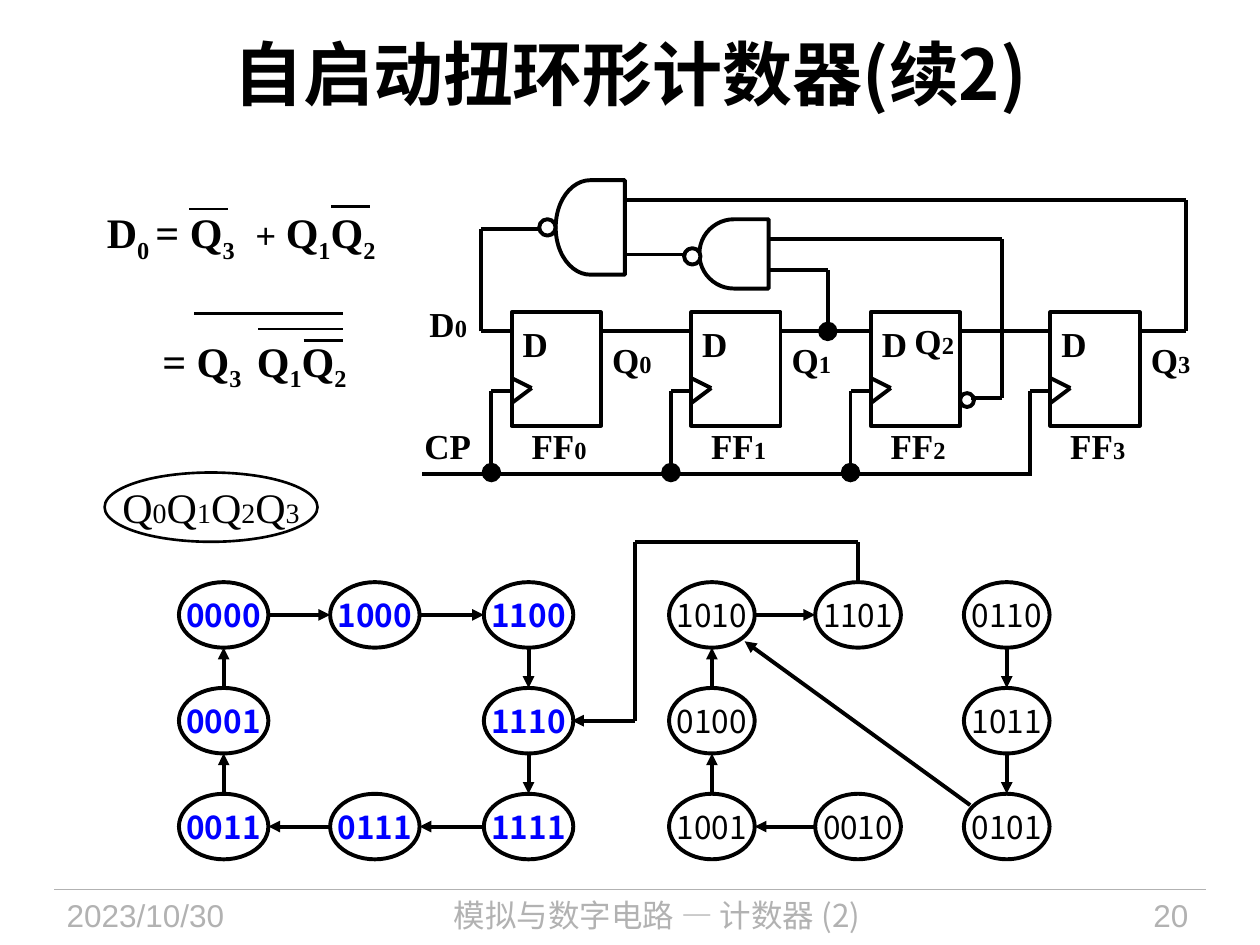
from lxml.etree import SubElement
from pptx import Presentation
from pptx.dml.color import RGBColor
from pptx.enum.shapes import MSO_CONNECTOR as Connector, MSO_SHAPE as Shape
from pptx.enum.text import MSO_ANCHOR as Anchor, MSO_AUTO_SIZE as AutoSize, PP_ALIGN as Align
from pptx.oxml.ns import qn
from pptx.util import Inches, Pt

COLUMNS, ROWS = 100, 75
SERIF, SANS, CHINESE = "Times New Roman", "Arial", "Noto Sans CJK SC"
BLACK, BLUE, GREY, WHITE = "000000", "0000FF", "B2B2B2", "FFFFFF"


def color(value):
    return RGBColor.from_string(value)


class Board:
    def __init__(self, deck):
        self.page = deck.slides.add_slide(deck.slide_layouts[5])
        self.shapes = self.page.shapes
        self.column = deck.slide_width / COLUMNS
        self.row = deck.slide_height / ROWS

    def place(self, left, top, width, height):
        return (round(left * self.column), round(top * self.row),
                round(width * self.column), round(height * self.row))

    def span(self, para, text, size, font=SERIF, ink=BLACK, bold=False, baseline=0):
        span = para.add_run()
        span.text = text
        span.font.name, span.font.size, span.font.bold = font, Pt(size), bold
        span.font.color.rgb = color(ink)
        properties = span.font._element
        SubElement(properties, qn("a:ea")).set("typeface", font)
        if baseline:
            properties.set("baseline", str(baseline * 1000))

    def indexed(self, para, text, size, small, bold=True, baseline=0):
        for order, part in enumerate(text.split("_")):
            if order % 2:
                self.span(para, part, small, bold=bold, baseline=baseline)
            elif part:
                self.span(para, part, size, bold=bold)

    def title(self, text, *area):
        box = self.shapes.title
        box.left, box.top, box.width, box.height = self.place(*area)
        box.text_frame.vertical_anchor = Anchor.MIDDLE
        para = box.text_frame.paragraphs[0]
        para.alignment = Align.CENTER
        self.span(para, text, 40, CHINESE, bold=True)

    def text_box(self, *area, wrap=False):
        frame = self.shapes.add_textbox(*self.place(*area)).text_frame
        frame.word_wrap = wrap
        if not wrap:
            frame.auto_size = AutoSize.SHAPE_TO_FIT_TEXT
        return frame.paragraphs[0]

    def footer(self, text, left, width, align, font=SANS):
        para = self.text_box(left, 70.6, width, 4.4, wrap=True)
        para.alignment = align
        self.span(para, text, 18, font, GREY)

    def label(self, text, left, top, width):
        self.indexed(self.text_box(left, top, width, 4.3), text, 20, 14)

    def formula(self, text, left, top, width, lead=""):
        para = self.text_box(left, top, width, 5)
        if lead:
            self.span(para, lead, 20, SANS)
        self.indexed(para, text, 24, 24, baseline=-25)

    def wire(self, *points, head=None, tail=None, ink=BLACK, weight=2.25):
        segments = list(zip(points, points[1:]))
        for order, (start, end) in enumerate(segments):
            line = self.shapes.add_connector(
                Connector.STRAIGHT, *self.place(*start, *end))
            line.line.color.rgb = color(ink)
            line.line.width = Pt(weight)
            if head and order == 0:
                self.line_end(line, "a:headEnd", head)
            if tail and order == len(segments) - 1:
                self.line_end(line, "a:tailEnd", tail)
            SubElement(line._element.spPr, qn("a:effectLst"))

    def line_end(self, line, tag, kind):
        end = SubElement(line.line._get_or_add_ln(), qn(tag))
        end.set("type", kind)
        if kind == "oval":
            end.set("w", "lg")
            end.set("len", "lg")

    def outline(self, kind, *area, fill=None, weight=2.25, turn=0):
        shape = self.shapes.add_shape(kind, *self.place(*area))
        shape.shadow.inherit = False
        shape.rotation = turn
        shape.line.color.rgb = color(BLACK)
        shape.line.width = Pt(weight)
        if fill:
            shape.fill.solid()
            shape.fill.fore_color.rgb = color(fill)
        else:
            shape.fill.background()
        return shape

    def oval(self, *area, weight=2.25):
        frame = self.outline(Shape.OVAL, *area, weight=weight).text_frame
        frame.word_wrap = False
        frame.vertical_anchor = Anchor.MIDDLE
        para = frame.paragraphs[0]
        para.alignment = Align.CENTER
        return frame, para

    def state(self, text, area, ink, bold):
        frame, para = self.oval(*area)
        self.span(para, text, 18, CHINESE, ink, bold)

    def arrow(self, source, target):
        left, top, width, height = source
        next_left, next_top, next_width, next_height = target
        if top == next_top:
            middle = top + height / 2
            ends = ((left + width, middle), (next_left, middle))
            if next_left < left:
                ends = ((left, middle), (next_left + next_width, middle))
        else:
            middle = left + width / 2
            ends = ((middle, top + height), (middle, next_top))
            if next_top < top:
                ends = ((middle, top), (middle, next_top + next_height))
        self.wire(*ends, tail="triangle")

    def flip_flop(self, number, left, q_left, q_top):
        self.label("D", left - 0.1, 25.1, 4)
        self.outline(Shape.RECTANGLE, left, 24.8, 7.1, 9)
        self.wire((left, 30), (left + 1.6, 30.8), (left, 32))
        self.label(f"FF_{number}", left + 0.6, 33.2, 6.5)
        self.label(f"Q_{number}", q_left, q_top, 5.4)

    def gate(self, left, top, height, bubble_left, bubble_top):
        self.outline(Shape.FLOWCHART_DELAY, left, top, 5.5, height, fill=WHITE, turn=180)
        self.outline(Shape.OVAL, bubble_left, bubble_top, 1.3, 1.3, fill=WHITE)


def draw_circuit(board):
    lefts = [40.6 + 14.25 * number for number in range(4)]
    for number, left in enumerate(lefts):
        q_place = (71.6, 24.9) if number == 2 else (left + 7, 26.4)
        board.flip_flop(number, left, *q_place)
        riser = left - 1.6
        last = number == 3
        board.wire((left, 31), (riser, 31), (riser, 37.8 if last else 37.5),
                   tail=None if last else "oval")
        if not last:
            board.wire((left + 7.1, 26.3), (lefts[number + 1], 26.3))
    board.outline(Shape.OVAL, 76.2, 31.2, 1.1, 1.1)
    board.wire((33.5, 37.6), (81.8, 37.6))
    board.wire((90.5, 26.3), (94.1, 26.3), (94.1, 15.9), (47.3, 15.9))
    board.wire((40.6, 26.3), (38.2, 26.3), (38.2, 18.2), (42.9, 18.2))
    board.wire((65.7, 26.3), (65.7, 21.4), (61, 21.4), head="oval")
    board.wire((77.1, 31.6), (79.5, 31.6), (79.5, 19), (61, 19))
    board.wire((54.3, 20.2), (49.6, 20.2))
    board.gate(55.5, 17.4, 5.5, 54.3, 19.7)
    board.gate(44.1, 14.3, 7.5, 42.8, 17.4)
    board.label("D_0", 33.1, 23.5, 5.2)
    board.label("CP", 32.7, 33.2, 5.7)


def draw_formulas(board):
    board.formula("D_0 _= Q_3", 7.5, 15.9, 12.5)
    board.formula("Q_1_Q_2", 19.3, 15.9, 11.8, lead="+ ")
    board.formula("= Q_3", 11.9, 26.1, 8.4)
    board.formula("Q_1_Q_2", 19.4, 26.1, 9.4)
    for start, end, top in ((15, 18.1, 16.6), (26.3, 29.4, 16.4), (24.1, 27.2, 27),
                            (20.5, 27.2, 26.1), (15.4, 27.2, 24.9)):
        board.wire((start, top), (end, top), weight=1.5)


def draw_states(board):
    tops = (46.2, 54.6, 63)
    main_cycle = ((14.2, 26.2, 38.4), 7.1, BLUE, True,
                  (("0000", "1000", "1100"), ("0001", None, "1110"), ("0011", "0111", "1111")))
    side_chain = ((53.1, 64.7, 76.5), 6.8, BLACK, False,
                  (("1010", "1101", "0110"), ("0100", None, "1011"), ("1001", "0010", "0101")))
    areas = {}
    for lefts, width, ink, bold, grid in (main_cycle, side_chain):
        for top, names in zip(tops, grid):
            for left, name in zip(lefts, names):
                if name:
                    areas[name] = (left, top, width, 5.2)
                    board.state(name, areas[name], ink, bold)
    for chain in ("0000 1000 1100 1110 1111 0111 0011 0001 0000",
                  "0010 1001 0100 1010 1101", "0110 1011 0101"):
        names = chain.split()
        for source, target in zip(names, names[1:]):
            board.arrow(areas[source], areas[target])
    board.wire((77, 63.9), (59.1, 50.9), tail="triangle")
    board.wire((68.1, 46.2), (68.1, 43), (50.4, 43), (50.4, 57.2), (45.4, 57.2),
               tail="triangle")
    frame, para = board.oval(8.3, 37.5, 16.9, 5.5, weight=1.5)
    frame.margin_left = frame.margin_right = frame.margin_top = frame.margin_bottom = 0
    board.indexed(para, "Q_0_Q_1_Q_2_Q_3", 24, 16, bold=False)


def main():
    deck = Presentation()
    deck.slide_width, deck.slide_height = Inches(10), Inches(7.5)
    board = Board(deck)
    board.wire((4.3, 70.6), (95.7, 70.6), ink=GREY, weight=0.75)
    board.footer("2023/10/30", 4.3, 18.8, Align.LEFT)
    board.footer("模拟与数字电路 — 计数器 (2)", 24, 56.3, Align.CENTER, CHINESE)
    board.footer("20", 82, 13.3, Align.RIGHT)
    board.title("自启动扭环形计数器(续2)", 5, 0.9, 90, 9.7)
    draw_circuit(board)
    draw_formulas(board)
    draw_states(board)
    deck.save("out.pptx")


if __name__ == "__main__":
    main()
